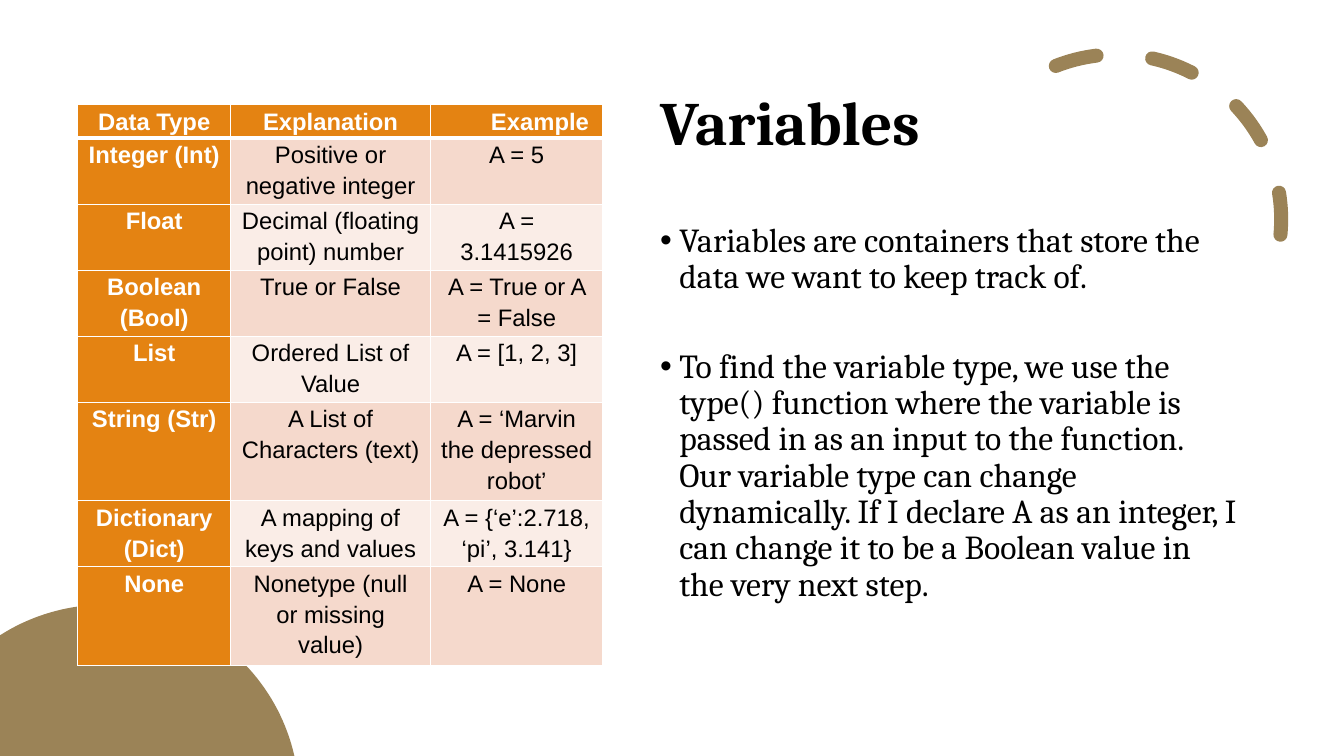
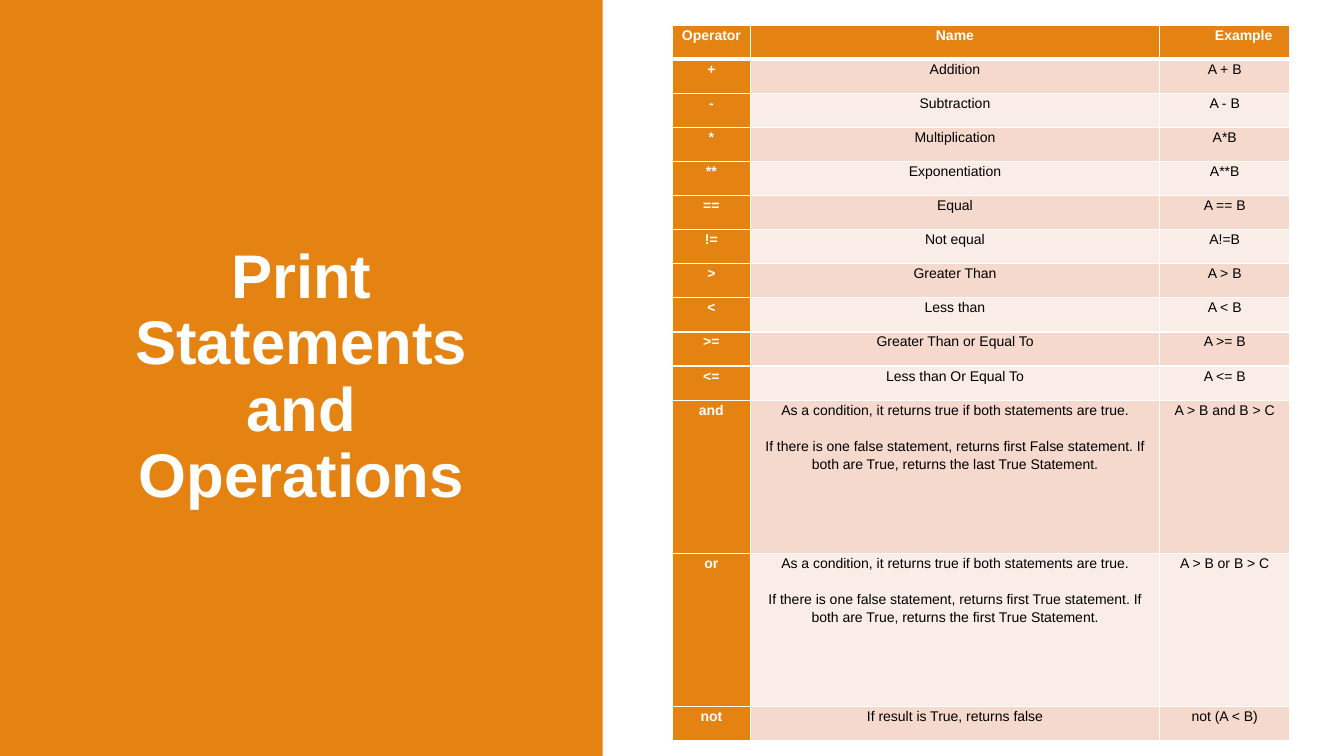
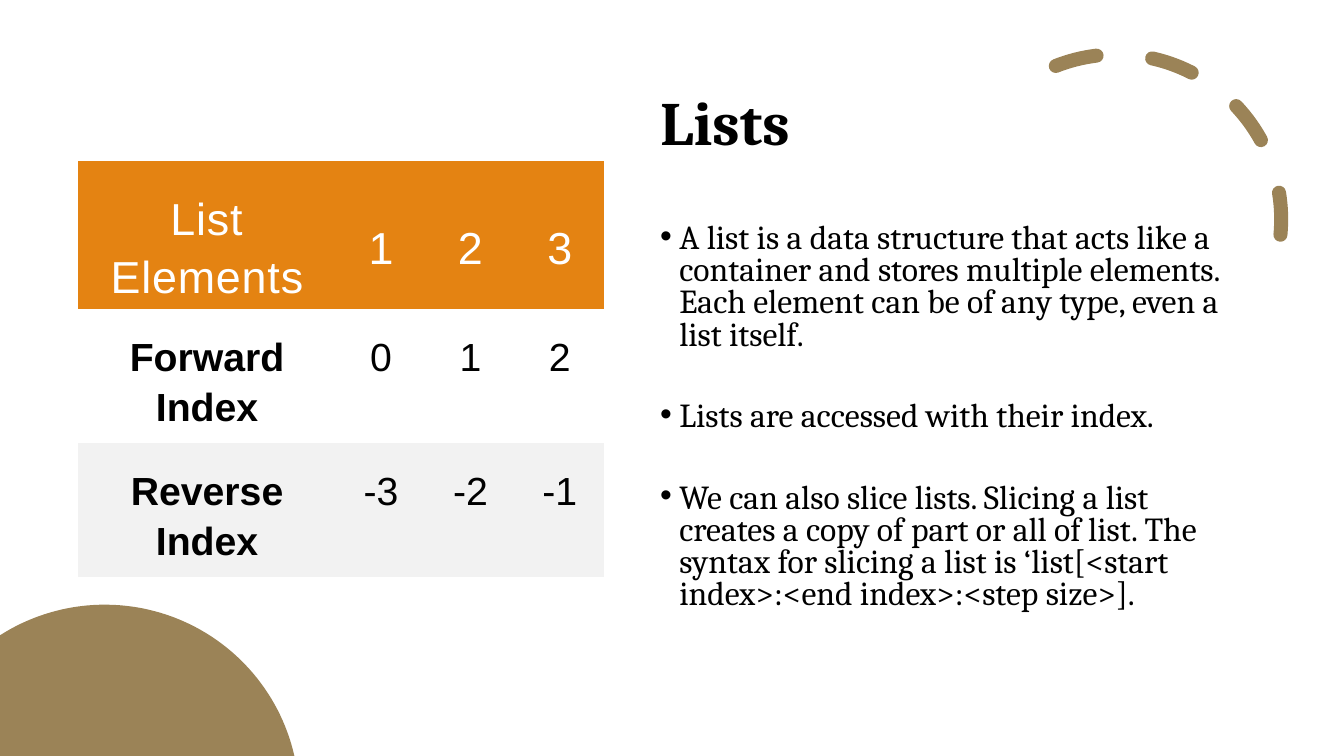
import math

import lxml.etree
import pptx
import pptx.dml.color
import pptx.enum.dml
import pptx.enum.shapes
import pptx.enum.text
import pptx.oxml
import pptx.oxml.ns
import pptx.util

Pt = pptx.util.Pt
Inches = pptx.util.Inches
Align = pptx.enum.text.PP_ALIGN
Anchor = pptx.enum.text.MSO_ANCHOR
Shape = pptx.enum.shapes.MSO_SHAPE
qn = pptx.oxml.ns.qn

# Shared look: lengths are percentages of the slide's width and height
WIDTH, HEIGHT = Inches(13.33), Inches(7.5)
COLORS = {"orange": "E48312", "sand": "9B8357", "dark_band": "F5D9CC",
          "light_band": "FAEDE7", "gray_band": "F2F2F2",
          "white": "FFFFFF", "black": "000000"}
TITLE = {"name": "Cambria", "size": Pt(44), "bold": True}
PANEL_TITLE = {**TITLE, "name": "Arial"}
BODY = {"name": "Cambria", "size": Pt(24)}
NO_STYLE = "{2D5ABB26-0587-4C30-8999-92F81FD0307C}"
FULL_LINE = 28.9  # points, one body line at single spacing

# Table contents
DATA_TYPES = [
    ("Data Type", "Explanation", "Example"),
    ("Integer (Int)", "Positive or negative integer", "A = 5"),
    ("Float", "Decimal (floating point) number", "A = 3.1415926"),
    ("Boolean (Bool)", "True or False", "A = True or A = False"),
    ("List", "Ordered List of Value", "A = [1, 2, 3]"),
    ("String (Str)", "A List of Characters (text)", "A = ‘Marvin the depressed robot’"),
    ("Dictionary (Dict)", "A mapping of keys and values", "A = {‘e’:2.718, ‘pi’, 3.141}"),
    ("None", "Nonetype (null or missing value)", "A = None"),
]
CONDITION = "As a condition, it returns true if both statements are true."
OPERATORS = [
    ("Operator", "Name", "Example"),
    ("+", "Addition", "A + B"),
    ("-", "Subtraction", "A - B"),
    ("*", "Multiplication", "A*B"),
    ("**", "Exponentiation", "A**B"),
    ("==", "Equal", "A == B"),
    ("!=", "Not equal", "A!=B"),
    (">", "Greater Than", "A > B"),
    ("<", "Less than", "A < B"),
    (">=", "Greater Than or Equal To", "A >= B"),
    ("<=", "Less than Or Equal To", "A <= B"),
    ("and", CONDITION + "\nIf there is one false statement, returns first False statement. "
     "If both are True, returns the last True Statement.", "A > B and B > C"),
    ("or", CONDITION + "\nIf there is one false statement, returns first True statement. "
     "If both are True, returns the first True Statement.", "A > B or B > C"),
    ("not", "If result is True, returns false", "not (A < B)"),
]
LIST_INDEXES = [
    ("List Elements", "1", "2", "3"),
    ("Forward Index", "0", "1", "2"),
    ("Reverse Index", "-3", "-2", "-1"),
]


# Basic helpers
def across(share):
    return round(WIDTH * share / 100)


def down(share):
    return round(HEIGHT * share / 100)


def frame(left, top, width, height):
    return across(left), down(top), across(width), down(height)


def apply(target, values):
    for name, value in values.items():
        setattr(target, name, value)


def rgb(color):
    return pptx.dml.color.RGBColor.from_string(COLORS[color])


def paint(fill, color):
    fill.solid()
    fill.fore_color.rgb = rgb(color)


def write(para, text, font, color, layout):
    apply(para, layout)
    span = para.add_run()
    span.text = text
    apply(span.font, font)
    span.font.color.rgb = rgb(color)
    return span


# Text elements
def add_text_box(page, place, anchor):
    box = page.shapes.add_textbox(*frame(*place))
    apply(box.text_frame, {"word_wrap": True, "vertical_anchor": anchor})
    return box.text_frame


def add_title(page, text, place, font, color, align):
    text_frame = add_text_box(page, place, Anchor.MIDDLE)
    write(text_frame.paragraphs[0], text, font, color,
          {"alignment": align, "line_spacing": 0.9})


def add_bullets(page, texts, spacing):
    text_frame = add_text_box(page, (48.38, 28.93, 44.78, 61.07), Anchor.TOP)
    layout = {"line_spacing": spacing, "space_after": Pt(12 + FULL_LINE * spacing)}
    for index, text in enumerate(texts):
        para = text_frame.add_paragraph() if index else text_frame.paragraphs[0]
        write(para, text, BODY, "black", layout)
        props = para._p.get_or_add_pPr()
        indent = Inches(0.19)
        props.set("marL", str(indent))
        props.set("indent", str(-indent))
        lxml.etree.SubElement(props, qn("a:buFont")).set("typeface", "Arial")
        lxml.etree.SubElement(props, qn("a:buChar")).set("char", "•")


# Decorations
def add_dashed_arc(page):
    arc = page.shapes.add_shape(Shape.ARC, *frame(70.8, 7.2, 24.53, 43.6))
    arc.shadow.inherit = False
    arc.adjustments[0] = 144.42  # start angle of 240.7 degrees
    arc.adjustments[1] = 0
    arc.rotation = 66.1
    arc._element.spPr.xfrm.set("flipH", "1")
    arc.fill.background()
    arc.line.color.rgb = rgb("sand")
    apply(arc.line, {"width": Pt(10),
                     "dash_style": pptx.enum.dml.MSO_LINE_DASH_STYLE.DASH})
    arc.line._get_or_add_ln().set("cap", "rnd")


def add_corner_disc(page, steps=60):
    # Circle cut off by the left and bottom edges of the slide
    center_x, center_y, radius = across(7.8), down(105.7), across(14.47)
    start = math.pi - math.acos(center_x / radius)
    end = math.asin((center_y - HEIGHT) / radius)
    angles = [start + (end - start) * step / steps for step in range(steps + 1)]
    rim = [(center_x + radius * math.cos(angle), center_y - radius * math.sin(angle))
           for angle in angles]
    builder = page.shapes.build_freeform(0, HEIGHT)
    builder.add_line_segments([(round(x), round(y)) for x, y in rim], close=True)
    disc = builder.convert_to_shape()
    disc.shadow.inherit = False
    paint(disc.fill, "sand")
    disc.line.fill.background()


def add_panel(page):
    panel = page.shapes.add_shape(Shape.RECTANGLE, *frame(0, 0, 44.85, 100))
    panel.shadow.inherit = False
    paint(panel.fill, "orange")
    panel.line.fill.background()


# Tables
def add_grid(page, left, top, columns, rows):
    place = frame(left, top, sum(columns), sum(rows))
    holder = page.shapes.add_table(len(rows), len(columns), *place)
    table = holder.table
    apply(table, {"first_row": False, "horz_banding": False})
    table._tbl.tblPr.find(qn("a:tableStyleId")).text = NO_STYLE
    for column, share in zip(table.columns, columns):
        column.width = across(share)
    for row, share in zip(table.rows, rows):
        row.height = down(share)
    return table


def add_borders(cell, row):
    props = cell._tc.get_or_add_tcPr()
    widths = {"L": 1, "R": 1, "T": 3 if row == 1 else 1, "B": 3 if row == 0 else 1}
    for side, width in widths.items():
        line = lxml.etree.SubElement(props, qn("a:ln" + side), w=str(Pt(width)))
        solid = lxml.etree.SubElement(line, qn("a:solidFill"))
        lxml.etree.SubElement(solid, qn("a:srgbClr"), val=COLORS["white"])


def fill_cell(cell, text, font, color, margins):
    apply(cell, margins)
    gap = Pt(0)
    for index, line in enumerate(text.split("\n")):
        text_frame = cell.text_frame
        para = text_frame.add_paragraph() if index else text_frame.paragraphs[0]
        span = write(para, line, font, color,
                     {"alignment": Align.CENTER, "line_spacing": 1.15, "space_before": gap})
        gap = Pt(13)
    return span


def add_banded_table(page, left, top, columns, rows, data, size, margin):
    table = add_grid(page, left, top, columns, rows)
    margins = {"margin_left": Inches(margin), "margin_right": Inches(margin),
               "margin_top": 0, "margin_bottom": 0}
    for row, texts in enumerate(data):
        for column, text in enumerate(texts):
            cell = table.cell(row, column)
            head = row == 0 or column == 0
            font = {"name": "Arial", "size": Pt(size), "bold": head}
            fill_cell(cell, text, font, "white" if head else "black", margins)
            add_borders(cell, row)
            band = "dark_band" if row % 2 else "light_band"
            paint(cell.fill, "orange" if head else band)
    # The last heading is indented instead of centred
    heading = table.cell(0, len(columns) - 1).text_frame.paragraphs[0]
    heading.alignment = Align.LEFT
    heading._p.get_or_add_pPr().set("indent", str(Inches(0.5)))


def add_index_table(page):
    table = add_grid(page, 5.78, 21.3, [19.25] + [6.65] * 3, [19.6, 17.7, 17.7])
    margins = {"margin_left": Inches(0.15), "margin_right": Inches(0.15),
               "margin_top": Inches(0.2), "margin_bottom": 0}
    bands = ["orange", None, "gray_band"]
    for row, texts in enumerate(LIST_INDEXES):
        head = row == 0
        for column, text in enumerate(texts):
            cell = table.cell(row, column)
            font = {"name": "Arial", "size": Pt(32 if head else 28),
                    "bold": column == 0 and not head}
            span = fill_cell(cell, text, font, "white" if head else "black", margins)
            if head:
                cell.vertical_anchor = Anchor.MIDDLE
                span._r.get_or_add_rPr().set("spc", "60")
            if bands[row]:
                paint(cell.fill, bands[row])
            else:
                cell.fill.background()


# Slides
def add_page(deck):
    return deck.slides.add_slide(deck.slide_layouts[6])


def add_topic_page(deck, title, bullets, spacing):
    page = add_page(deck)
    add_dashed_arc(page)
    add_title(page, title, (48.38, 6.93, 44.78, 19.33), TITLE, "black", Align.LEFT)
    add_corner_disc(page)
    add_bullets(page, bullets, spacing)
    return page


def main():
    deck = pptx.Presentation()
    apply(deck, {"slide_width": WIDTH, "slide_height": HEIGHT})

    # Variables
    page = add_topic_page(deck, "Variables", [
        "Variables are containers that store the data we want to keep track of.",
        "To find the variable type, we use the type() function where the variable is "
        "passed in as an input to the function. Our variable type can change dynamically. "
        "If I declare A as an integer, I can change it to be a Boolean value in the very "
        "next step.",
    ], 0.9)
    add_banded_table(page, 5.78, 13.87, [11.4, 14.85, 12.85],
                     [4.4] + [8.74] * 4 + [12.96] + [8.74] * 2, DATA_TYPES, 17, 0.1)

    # Print statements and operations
    page = add_page(deck)
    add_panel(page)
    add_title(page, "Print Statements and Operations", (5.1, 9.33, 34.65, 81.33),
              PANEL_TITLE, "white", Align.CENTER)
    add_banded_table(page, 50.03, 3.33, [5.8, 30.45, 9.7],
                     [4.51] * 11 + [20.27] * 2 + [4.51], OPERATORS, 10, 0.05)

    # Lists
    page = add_topic_page(deck, "Lists", [
        "A list is a data structure that acts like a container and stores multiple "
        "elements. Each element can be of any type, even a list itself.",
        "Lists are accessed with their index.",
        "We can also slice lists. Slicing a list creates a copy of part or all of list. "
        "The syntax for slicing a list is ‘list[<start index>:<end index>:<step size>].",
    ], 0.8)
    add_index_table(page)

    deck.save("out.pptx")


if __name__ == "__main__":
    main()
